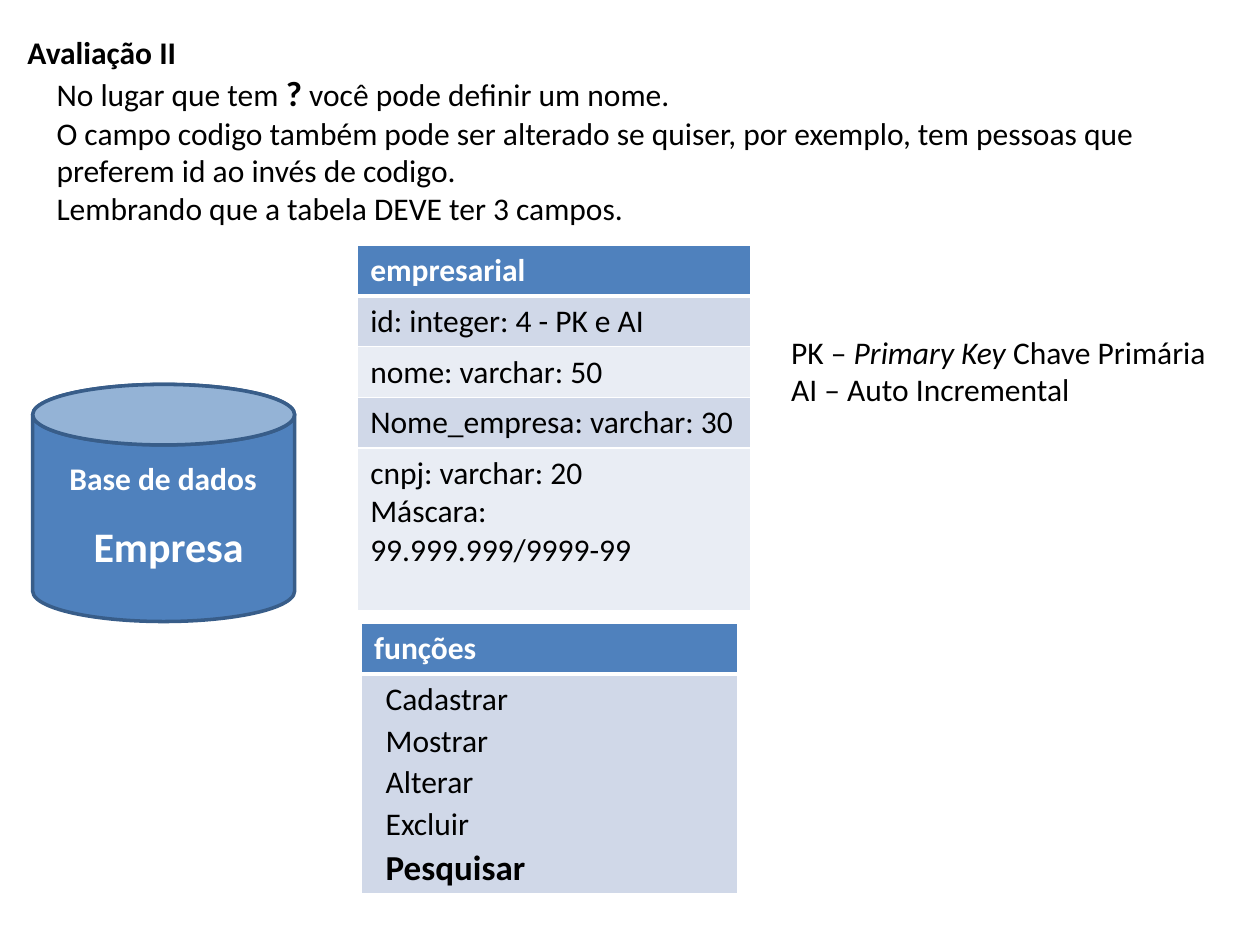
from lxml import etree
from pptx import Presentation
from pptx import util as u
from pptx.dml.color import RGBColor
from pptx.enum import shapes, text
from pptx.oxml.ns import qn

FONT = "Calibri"
BLACK, WHITE, BLUE, LID_BLUE, EDGE = "000000", "FFFFFF", "4F81BD", "94B3D6", "385D89"
BANDS = ["D0D8E8", "E9EDF4"]

# A paragraph is a list of runs: (wording, style)
HEADING = [[("Avaliação II", "b")]]
INTRO = [
    [("No lugar que tem ", ""), ("?", "B"), (" você pode definir um nome. ", "")],
    [("O campo codigo também pode ser alterado se quiser, por exemplo, "
      "tem pessoas que preferem id ao invés de codigo.", "")],
    [("Lembrando que a tabela DEVE ter 3 campos.", "")],
]
LEGEND = [
    [("PK – ", ""), ("Primary Key ", "i"), ("Chave Primária", "")],
    [("AI – Auto Incremental", "")],
]
DATABASE_LABEL = [[("Base de dados", "b")]]
DATABASE_NAME = [[("Empresa", "H")]]
FIELDS = [
    [[("empresarial", "b")]],
    [[("id: integer: 4 - PK e AI", "")]],
    [[("nome: varchar: 50", "")]],
    [[("Nome_empresa: varchar: 30", "")]],
    [[("cnpj: varchar: 20", "")], [("Máscara: ", "")], [("99.999.999/9999-99", "")]],
]
ACTIONS = [
    [[("funções", "b")]],
    [[("Cadastrar", "")], [("Mostrar", "")], [("Alterar", "")], [("Excluir", "")],
     [("Pesquisar", "B")]],
]
SIZES = {"B": 20, "H": 24}


def rgb(color):
    """Turn a hex string into a colour."""
    return RGBColor.from_string(color)


def write(frame, paragraphs, color=BLACK, align=text.PP_ALIGN.LEFT):
    """Fill a text frame with styled paragraphs."""
    for index, runs in enumerate(paragraphs):
        line = frame.add_paragraph() if index else frame.paragraphs[0]
        line.alignment = align
        for wording, style in runs:
            run = line.add_run()
            run.text = wording
            run.font.name = FONT
            run.font.size = u.Pt(SIZES.get(style, 18))
            run.font.bold = style in ("b", "B", "H")
            run.font.italic = style == "i"
            run.font.color.rgb = rgb(color)


def cm_box(*lengths):
    """Convert centimetres to slide lengths."""
    return [u.Cm(length) for length in lengths]


def add_text(slide, box, paragraphs, wrap=True, inset=True, **style):
    """Add a text box."""
    frame = slide.shapes.add_textbox(*cm_box(*box)).text_frame
    frame.word_wrap = wrap
    if not inset:
        frame.margin_left = frame.margin_right = frame.margin_top = frame.margin_bottom = 0
    write(frame, paragraphs, **style)


def add_solid(slide, kind, box, fill):
    """Add an outlined part of the database cylinder."""
    solid = slide.shapes.add_shape(kind, *cm_box(*box))
    solid.shadow.inherit = False
    solid.fill.solid()
    solid.fill.fore_color.rgb = rgb(fill)
    solid.line.color.rgb = rgb(EDGE)
    solid.line.width = u.Pt(2)
    return solid


def set_borders(cell, bottom):
    """Draw white cell borders ahead of the cell fill."""
    props = cell._tc.get_or_add_tcPr()
    widths = {"a:lnL": 1, "a:lnR": 1, "a:lnT": 1, "a:lnB": bottom}
    for place, (side, width) in enumerate(widths.items()):
        border = etree.Element(qn(side), w=str(u.Pt(width)))
        fill = etree.SubElement(border, qn("a:solidFill"))
        etree.SubElement(fill, qn("a:srgbClr"), val=WHITE)
        props.insert(place, border)


def add_list_table(slide, left, top, width, heights, rows):
    """Add a one-column table with a blue header and banded rows."""
    box = cm_box(left, top, width, sum(heights))
    table = slide.shapes.add_table(len(rows), 1, *box).table
    for index, (height, paragraphs) in enumerate(zip(heights, rows)):
        table.rows[index].height = u.Cm(height)
        cell = table.cell(index, 0)
        write(cell.text_frame, paragraphs, BLACK if index else WHITE)
        cell.fill.solid()
        cell.fill.fore_color.rgb = rgb(BANDS[(index - 1) % 2] if index else BLUE)
        set_borders(cell, 1 if index else 3)
    return table


deck = Presentation()
deck.slide_width, deck.slide_height = cm_box(25.4, 19.05)
slide = deck.slides.add_slide(deck.slide_layouts[5])

heading = slide.shapes.title
heading.left, heading.top, heading.width, heading.height = cm_box(0.3, 0.53, 3.53, 1.02)
heading.text_frame.word_wrap = False
heading.text_frame.auto_size = text.MSO_AUTO_SIZE.NONE
heading.text_frame.vertical_anchor = text.MSO_ANCHOR.TOP
write(heading.text_frame, HEADING)

add_text(slide, (0.89, 1.32, 24.51, 3.43), INTRO)
add_list_table(slide, 7.21, 4.95, 7.92, [1.02] * 4 + [3.28], FIELDS)

left, top, width, height, lid_height = 0.66, 7.75, 5.28, 4.78, 1.22
cylinder = add_solid(slide, shapes.MSO_SHAPE.CAN, (left, top, width, height), BLUE)
cylinder.adjustments[0] = lid_height / height
add_solid(slide, shapes.MSO_SHAPE.OVAL, (left, top, width, lid_height), LID_BLUE)
add_text(slide, (1.4, 9.25, 4.04, 0.76), DATABASE_LABEL, inset=False, color=WHITE)
add_text(slide, (0.76, 10.49, width, 2.06), DATABASE_NAME, inset=False, color=WHITE,
         align=text.PP_ALIGN.CENTER)

actions = add_list_table(slide, 7.29, 12.57, 7.59, [1.02, 4.42], ACTIONS)
for action in actions.cell(1, 0).text_frame.paragraphs:
    action.space_before = u.Pt(1.9)
    action._p.get_or_add_pPr().set("marL", str(u.Cm(0.23)))

add_text(slide, (15.7, 6.58, 8.97, 1.8), LEGEND, wrap=False)

deck.save("out.pptx")
